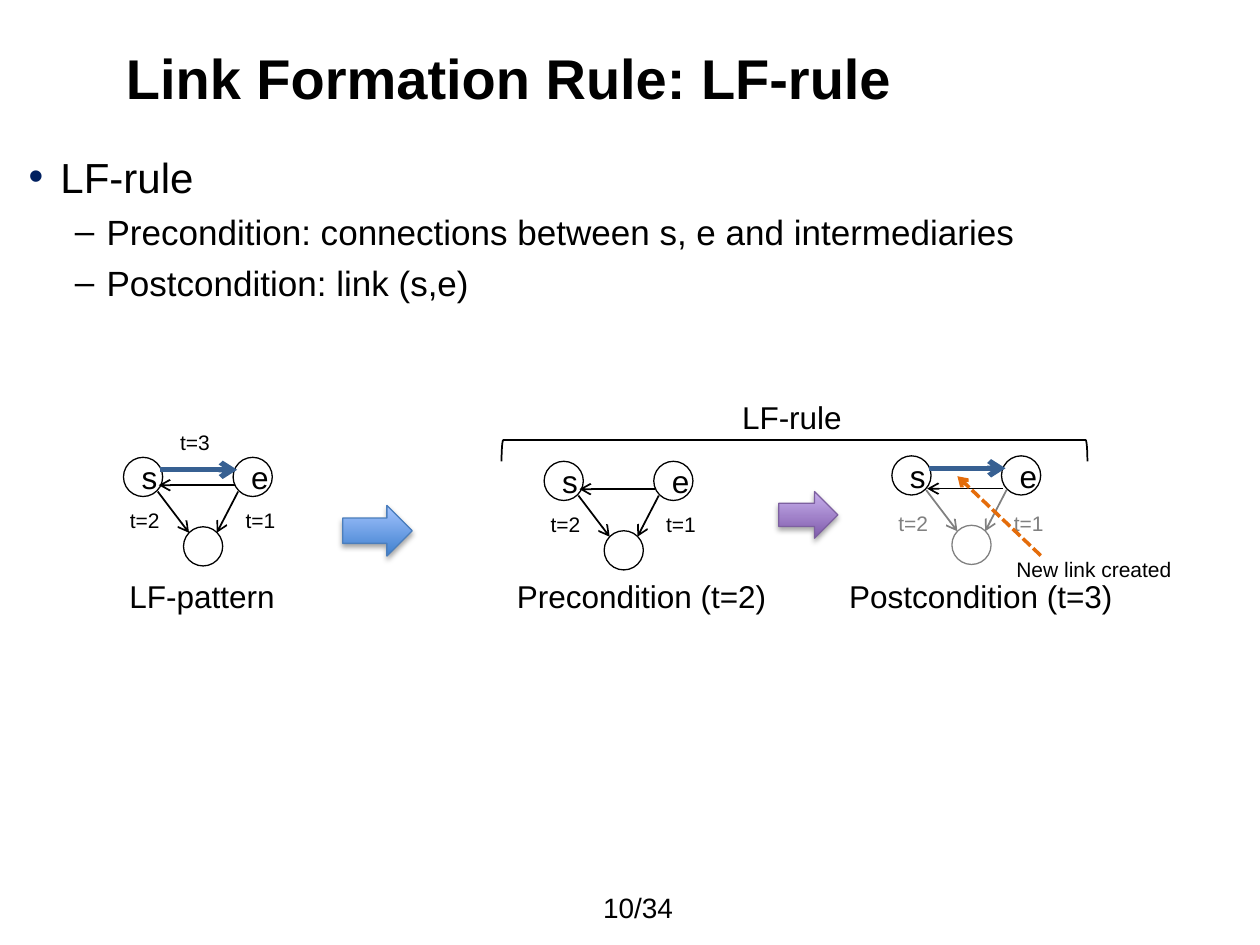
from dataclasses import dataclass

from lxml.etree import SubElement
from pptx import Presentation
from pptx.dml.color import RGBColor
from pptx.enum.dml import MSO_LINE
from pptx.enum.shapes import MSO_CONNECTOR, MSO_SHAPE
from pptx.enum.text import MSO_ANCHOR, PP_ALIGN
from pptx.oxml.ns import qn
from pptx.util import Cm, Pt

BLACK = RGBColor(0x00, 0x00, 0x00)
GRAY = RGBColor(0x80, 0x80, 0x80)
NAVY = RGBColor(0x00, 0x20, 0x60)
BLUE = RGBColor(0x37, 0x60, 0x92)
ORANGE = RGBColor(0xE4, 0x6C, 0x0A)
FONT = "Arial"
NODE = 0.79


@dataclass
class Label:
    text: str
    left: float
    top: float
    width: float
    height: float
    size: int = 18
    color: RGBColor = BLACK
    align: PP_ALIGN = PP_ALIGN.LEFT
    bold: bool = False
    middle: bool = False
    wrap: bool = False


@dataclass
class Triad:
    left: float
    top: float
    color: RGBColor = BLACK
    drop: float = 0
    link: bool = False


@dataclass
class Block:
    left: float
    top: float
    width: float
    height: float
    dark: RGBColor
    light: RGBColor
    edge: RGBColor


@dataclass
class Bullet:
    text: str
    level: int
    mark: str
    tint: RGBColor
    size: int
    margin: float
    gap: int


TRIADS = [
    Triad(2.49, 9.22, link=True),
    Triad(10.97, 9.3),
    Triad(17.98, 9.19, GRAY, 0.1, True),
]
BLOCKS = [
    Block(15.7, 9.91, 1.19, 0.94, RGBColor(0x7F, 0x5B, 0xAB),
          RGBColor(0xC8, 0xB0, 0xED), RGBColor(0x7D, 0x60, 0xA0)),
    Block(6.91, 10.19, 1.4, 1.02, RGBColor(0x3F, 0x80, 0xCE),
          RGBColor(0xA4, 0xC4, 0xFF), RGBColor(0x4B, 0x7E, 0xBC)),
]
LABELS = [
    Label("Link Formation Rule: LF-rule", 2.29, 0.74, 21.06, 1.63, 32,
          bold=True, middle=True, wrap=True),
    Label("t=3", 3.38, 8.53, 1.12, 0.76, 12),
    Label("New link created", 20.24, 11.1, 3.66, 0.76, 12),
    Label("LF-rule", 14.71, 7.9, 2.54, 1.02),
    Label("LF-pattern", 2.31, 11.51, 3.48, 1.02, align=PP_ALIGN.RIGHT),
    Label("Precondition (t=2)", 10.11, 11.51, 5.59, 1.02, align=PP_ALIGN.RIGHT),
    Label("Postcondition (t=3)", 16.81, 11.51, 5.87, 1.02, align=PP_ALIGN.RIGHT),
    Label("10/34", 11.91, 17.93, 2.18, 0.74, 16, middle=True, wrap=True),
]
BULLETS = [
    Bullet("LF-rule", 0, "•", NAVY, 24, 0.64, 0),
    Bullet("Precondition: connections between s, e and intermediaries",
           1, "–", BLACK, 20, 1.57, 5),
    Bullet("Postcondition: link (s,e)", 1, "–", BLACK, 20, 1.57, 5),
]


def style(para, size: int, color: RGBColor, bold: bool = False) -> None:
    for run in para.runs:
        run.font.name = FONT
        run.font.size = Pt(size)
        run.font.bold = bold
        run.font.color.rgb = color


def draw_label(slide, label: Label) -> None:
    box = slide.shapes.add_textbox(
        Cm(label.left), Cm(label.top), Cm(label.width), Cm(label.height))
    frame = box.text_frame
    frame.word_wrap = label.wrap
    frame.vertical_anchor = MSO_ANCHOR.MIDDLE if label.middle else MSO_ANCHOR.TOP
    frame.text = label.text
    para = frame.paragraphs[0]
    para.alignment = label.align
    style(para, label.size, label.color, label.bold)


def draw_list(slide, items: list[Bullet]) -> None:
    box = slide.shapes.add_textbox(Cm(0.58), Cm(3.05), Cm(24.21), Cm(13.8))
    frame = box.text_frame
    frame.word_wrap = True
    frame.margin_left = frame.margin_right = Cm(0)
    frame.margin_top = frame.margin_bottom = Cm(0)
    for spot, item in enumerate(items):
        para = frame.add_paragraph() if spot else frame.paragraphs[0]
        para.text = item.text
        para.level = item.level
        props = para._p.get_or_add_pPr()
        props.set("marL", str(Cm(item.margin)))
        props.set("indent", str(-Cm(0.64)))
        tint = SubElement(props, qn("a:buClr"))
        SubElement(tint, qn("a:srgbClr"), val=str(item.tint))
        SubElement(props, qn("a:buFont"), typeface=FONT)
        SubElement(props, qn("a:buChar"), char=item.mark)
        para.space_before = Pt(item.gap)
        style(para, item.size, BLACK)


def draw_node(slide, left: float, top: float, color: RGBColor, text: str = "") -> None:
    node = slide.shapes.add_shape(
        MSO_SHAPE.OVAL, Cm(left), Cm(top), Cm(NODE), Cm(NODE))
    node.shadow.inherit = False
    node.fill.background()
    node.line.color.rgb = color
    node.line.width = Pt(0.75)
    if text:
        node.text_frame.text = text
        para = node.text_frame.paragraphs[0]
        para.alignment = PP_ALIGN.CENTER
        style(para, 18, BLACK)


def draw_arrow(slide, start: tuple[float, float], end: tuple[float, float],
               color: RGBColor, width: float = 1, dashed: bool = False) -> None:
    arrow = slide.shapes.add_connector(
        MSO_CONNECTOR.STRAIGHT, *map(Cm, start), *map(Cm, end))
    arrow.line.color.rgb = color
    arrow.line.width = Pt(width)
    if dashed:
        arrow.line.dash_style = MSO_LINE.SQUARE_DOT
    props = arrow.element.spPr
    SubElement(props.find(qn("a:ln")), qn("a:tailEnd"), type="arrow")
    SubElement(props, qn("a:effectLst"))


def draw_triad(slide, triad: Triad) -> None:
    def at(x: float, y: float) -> tuple[float, float]:
        return triad.left + x, triad.top + y

    draw_node(slide, *at(0, 0), BLACK, "s")
    draw_node(slide, *at(2.21, 0), BLACK, "e")
    draw_node(slide, *at(1.21, 1.4), triad.color)
    if triad.link:
        draw_arrow(slide, at(0.74, 0.25), at(2.29, 0.25), BLUE, 3)
    back = 0.56 + triad.drop
    draw_arrow(slide, at(2.24, back), at(0.71, back), BLACK)
    draw_arrow(slide, at(0.69, 0.69), at(1.32, 1.52), triad.color)
    draw_arrow(slide, at(2.31, 0.69), at(1.88, 1.52), triad.color)
    for text, x in (("t=2", -0.12), ("t=1", 2.21)):
        draw_label(slide, Label(text, *at(x, 0.88 + triad.drop), 1.12, 0.76,
                                12, triad.color))


def draw_block(slide, block: Block) -> None:
    shape = slide.shapes.add_shape(
        MSO_SHAPE.RIGHT_ARROW, Cm(block.left), Cm(block.top),
        Cm(block.width), Cm(block.height))
    shape.fill.gradient()
    shape.fill.gradient_angle = 90
    for stop, color in zip(shape.fill.gradient_stops, (block.dark, block.light)):
        stop.color.rgb = color
    shape.line.color.rgb = block.edge
    shape.line.width = Pt(0.75)
    shape.shadow.inherit = False
    shade = SubElement(
        shape.element.spPr.find(qn("a:effectLst")), qn("a:outerShdw"),
        blurRad=str(Pt(3.1)), dist=str(Pt(1.8)), dir="5400000", rotWithShape="0")
    tint = SubElement(shade, qn("a:srgbClr"), val=str(BLACK))
    SubElement(tint, qn("a:alpha"), val="35000")


def draw_brace(slide) -> None:
    brace = slide.shapes.add_shape(
        MSO_SHAPE.LEFT_BRACKET, Cm(15.8), Cm(3.18), Cm(0.43), Cm(11.81))
    brace.rotation = 90
    brace.shadow.inherit = False
    brace.fill.background()
    brace.line.color.rgb = BLACK
    brace.line.width = Pt(1)


def main() -> None:
    deck = Presentation()
    deck.slide_width, deck.slide_height = Cm(25.4), Cm(19.05)
    slide = deck.slides.add_slide(deck.slide_layouts[6])
    draw_list(slide, BULLETS)
    for triad in TRIADS:
        draw_triad(slide, triad)
    draw_arrow(slide, (20.98, 11.2), (19.3, 9.6), ORANGE, 2, True)
    for block in BLOCKS:
        draw_block(slide, block)
    draw_brace(slide)
    for label in LABELS:
        draw_label(slide, label)
    deck.save("out.pptx")


if __name__ == "__main__":
    main()
